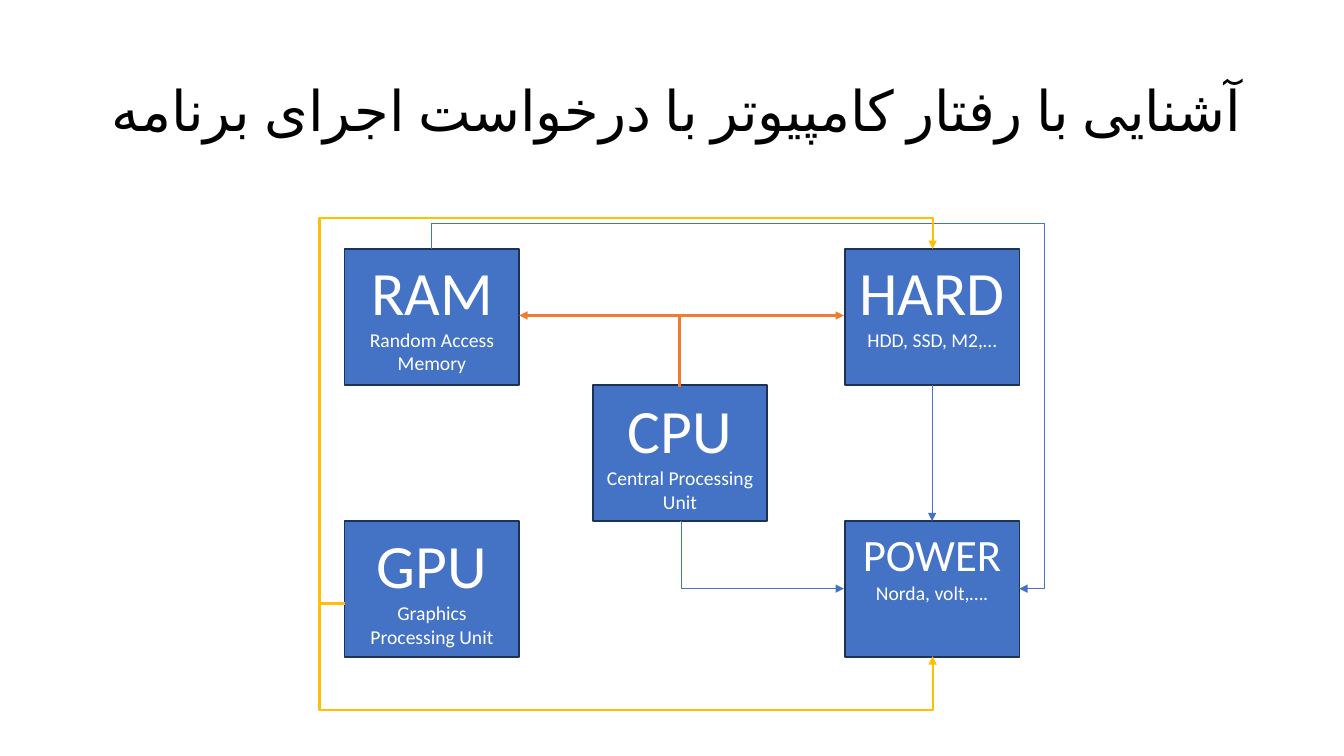
from pptx import Presentation
from pptx.dml.color import RGBColor
from pptx.enum.lang import MSO_LANGUAGE_ID as LANGUAGE
from pptx.enum.shapes import MSO_CONNECTOR as LINK, MSO_SHAPE as SHAPE
from pptx.enum.text import MSO_ANCHOR as ANCHOR, MSO_AUTO_SIZE as FIT, PP_ALIGN as ALIGN
from pptx.oxml.ns import qn
from pptx.util import Inches, Pt
from lxml.etree import SubElement

BLUE = RGBColor(0x44, 0x72, 0xC4)
NAVY = RGBColor(0x1E, 0x32, 0x56)
ORANGE = RGBColor(0xED, 0x7D, 0x31)
GOLD = RGBColor(0xFF, 0xC0, 0x00)
WHITE = RGBColor(0xFF, 0xFF, 0xFF)
BLACK = RGBColor(0x00, 0x00, 0x00)

CARD_W, CARD_H = 1.73, 1.35
LEFT, MIDDLE, RIGHT = 3.42, 5.88, 8.38
TOP, CENTRE, BOTTOM = 2.47, 3.82, 5.17

# name: (left, top, label offset, label height, name size, description)
CARDS = {
    "CPU": (MIDDLE, CENTRE, 0.02, 1.31, 44, "Central Processing Unit"),
    "RAM": (LEFT, TOP, 0, 1.31, 44, "Random Access Memory"),
    "HARD": (RIGHT, TOP, 0, 1.08, 44, "HDD, SSD, M2,…"),
    "GPU": (LEFT, BOTTOM, 0.01, 1.62, 44, "Graphics Processing Unit"),
    "POWER": (RIGHT, BOTTOM, 0.01, 0.88, 32, "Norda, volt,…."),
}

# start, end, leaves vertically, bend positions, colour, width
ELBOWS = [
    ((6.74, 5.17), (8.37, 5.84), False, [0.013], BLUE, 0.5),
    ((3.42, 5.99), (9.25, 6.51), False, [-0.043, 2.02], GOLD, 1.5),
    ((4.28, 2.47), (10.11, 5.84), True, [-0.074, 1.043], BLUE, 0.5),
    ((6.74, 3.82), (5.15, 3.13), True, [], ORANGE, 1.5),
    ((6.74, 3.84), (8.37, 3.13), True, [], ORANGE, 1.5),
    ((3.42, 5.98), (9.25, 2.47), False, [-0.043, 1.087], GOLD, 1.5),
]


def add_span(para, text, font, size, colour):
    span = para.add_run()
    span.text = text
    span.font.name = font
    span.font.size = Pt(size)
    span.font.color.rgb = colour
    return span


def add_title(page, left, top, width, height, text):
    box = page.shapes.add_textbox(*map(Inches, (left, top, width, height)))
    frame = box.text_frame
    frame.word_wrap = True
    frame.vertical_anchor = ANCHOR.MIDDLE
    para = frame.paragraphs[0]
    para.alignment = ALIGN.RIGHT
    para.line_spacing = 0.9
    span = add_span(para, text, "Roboto", 40, BLACK)
    # Persian text, read from right to left
    span.font.language_id = LANGUAGE.FARSI
    para._p.get_or_add_pPr().set("rtl", "1")
    SubElement(span._r.get_or_add_rPr(), qn("a:cs")).set("typeface", "Roboto")


def add_card(page, left, top, offset, label_height, name, size, description):
    # Panel
    card = page.shapes.add_shape(
        SHAPE.RECTANGLE, *map(Inches, (left, top, CARD_W, CARD_H)))
    card.shadow.inherit = False
    card.fill.solid()
    card.fill.fore_color.rgb = BLUE
    card.line.color.rgb = NAVY
    card.line.width = Pt(1)
    # Label
    label = page.shapes.add_textbox(
        *map(Inches, (left, top + offset, CARD_W, label_height)))
    frame = label.text_frame
    frame.word_wrap = True
    frame.auto_size = FIT.SHAPE_TO_FIT_TEXT
    for index, (text, points) in enumerate([(name, size), (description, 14)]):
        para = frame.add_paragraph() if index else frame.paragraphs[0]
        para.alignment = ALIGN.CENTER
        add_span(para, text, "Calibri", points, WHITE)
    return card


def add_arrow(page, kind, start, end, colour, width):
    arrow = page.shapes.add_connector(kind, *map(Inches, (*start, *end)))
    arrow.line.color.rgb = colour
    arrow.line.width = Pt(width)
    SubElement(arrow.line._get_or_add_ln(), qn("a:tailEnd")).set("type", "triangle")
    SubElement(arrow._element.spPr, qn("a:effectLst"))
    return arrow


def add_elbow(page, start, end, vertical, bends, colour, width):
    if vertical:
        # Lay the run out sideways about its centre, then turn it upright
        (x1, y1), (x2, y2) = start, end
        mid_x, mid_y = (x1 + x2) / 2, (y1 + y2) / 2
        half_w, half_h = (y1 - y2) / 2, (x2 - x1) / 2
        start = mid_x - half_w, mid_y - half_h
        end = mid_x + half_w, mid_y + half_h
    arrow = add_arrow(page, LINK.ELBOW, start, end, colour, width)
    properties = arrow._element.spPr
    if vertical:
        properties.find(qn("a:xfrm")).set("rot", str(270 * 60000))
    geometry = properties.find(qn("a:prstGeom"))
    geometry.set("prst", f"bentConnector{len(bends) + 2}")
    guides = geometry.find(qn("a:avLst"))
    for number, bend in enumerate(bends, 1):
        guide = SubElement(guides, qn("a:gd"))
        guide.set("name", f"adj{number}")
        guide.set("fmla", f"val {round(bend * 100000)}")


def add_diagram(page):
    cards = {}
    for name, (left, top, offset, height, size, description) in CARDS.items():
        cards[name] = add_card(
            page, left, top, offset, height, name, size, description)
    # Straight feed from the drive to the power supply
    middle = RIGHT + CARD_W / 2
    feed = add_arrow(page, LINK.STRAIGHT, (middle, TOP + CARD_H),
                     (middle, BOTTOM), BLUE, 0.5)
    feed.begin_connect(cards["HARD"], 2)
    feed.end_connect(cards["POWER"], 0)
    # Bent links
    for elbow in ELBOWS:
        add_elbow(page, *elbow)


def main():
    deck = Presentation()
    deck.slide_width, deck.slide_height = Inches(13.33), Inches(7.5)
    page = deck.slides.add_slide(deck.slide_layouts[6])
    add_title(page, 0.92, 0.4, 11.5, 1.45,
              "آشنایی با رفتار کامپیوتر با درخواست اجرای برنامه")
    add_diagram(page)
    deck.save("out.pptx")


if __name__ == "__main__":
    main()
